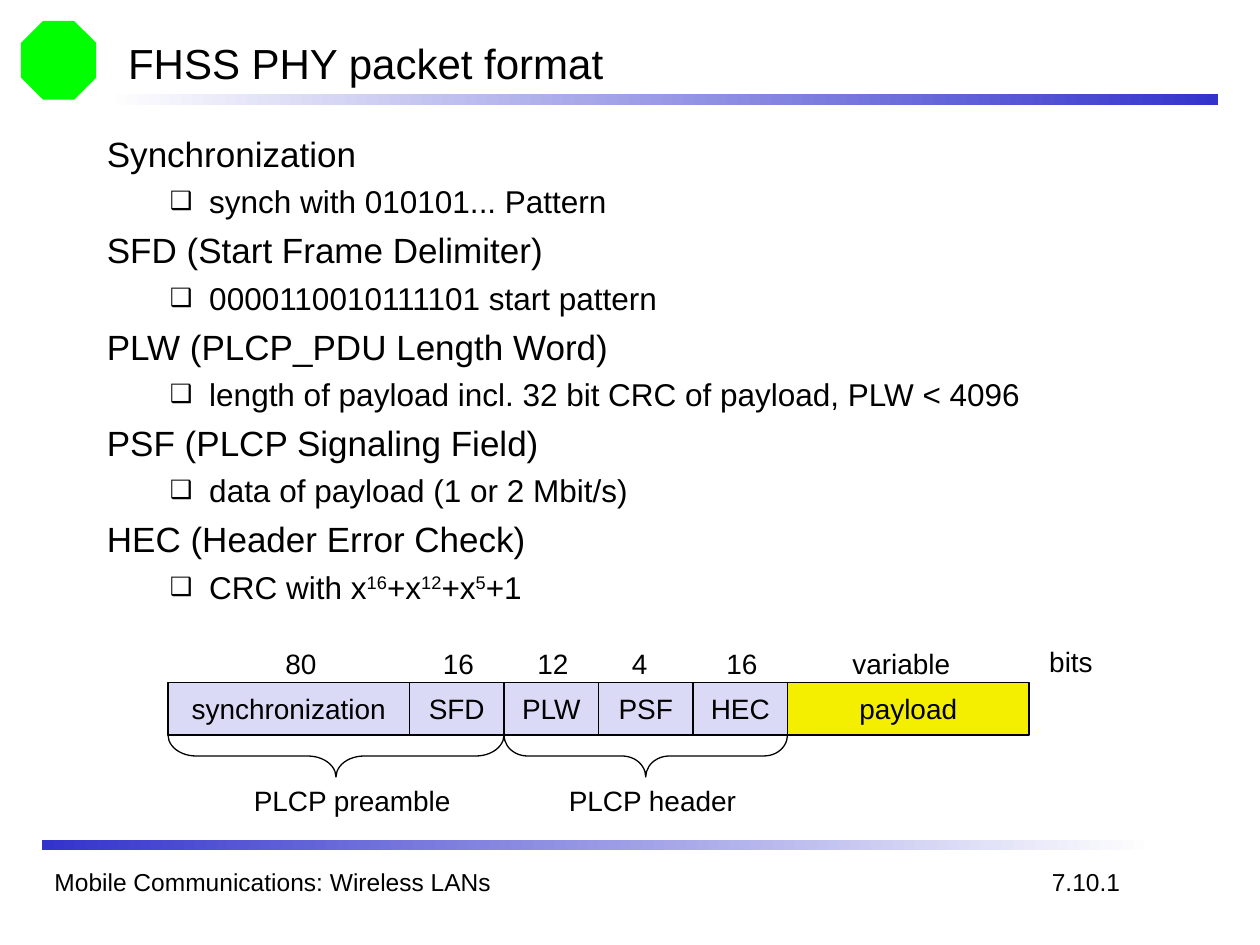
from lxml.etree import SubElement
from pptx import Presentation
from pptx.dml.color import RGBColor
from pptx.enum.shapes import MSO_SHAPE as Shape
from pptx.enum.text import MSO_ANCHOR as Anchor, PP_ALIGN as Align
from pptx.oxml.ns import qn
from pptx.util import Pt

COLORS = {"ink": "000000", "header": "DADAF6", "payload": "F4EE00",
          "blue": "3333CC", "white": "FFFFFF", "emblem": "00FF00"}
SMALL_FIELD, LARGE_FIELD = 54, 138
FIELDS_LEFT, FIELDS_TOP, FIELD_HEIGHT = 96, 390, 30
FIELDS = [
    ("synchronization", LARGE_FIELD, "header", "80", 60, 34),
    ("SFD", SMALL_FIELD, "header", "16", 12, 34),
    ("PLW", SMALL_FIELD, "header", "12", 12, 34),
    ("PSF", SMALL_FIELD, "header", "4", 12, 25),
    ("HEC", SMALL_FIELD, "header", "16", 12, 34),
    ("payload", LARGE_FIELD, "payload", "variable", 30, 74),
]
TOPICS = [
    ("Synchronization", "synch with 010101... Pattern"),
    ("SFD (Start Frame Delimiter)", "0000110010111101 start pattern"),
    ("PLW (PLCP_PDU Length Word)",
     "length of payload incl. 32 bit CRC of payload, PLW < 4096"),
    ("PSF (PLCP Signaling Field)", "data of payload (1 or 2 Mbit/s)"),
    ("HEC (Header Error Check)", "CRC with x^16^+x^12^+x^5^+1"),
]


def rgb(name):
    """Return the named palette colour."""
    return RGBColor.from_string(COLORS[name])


def box(left, top, width, height):
    """Convert a box in points to lengths."""
    return Pt(left), Pt(top), Pt(width), Pt(height)


def format_runs(paragraph, size):
    """Apply the slide's type style to every run."""
    for run in paragraph.runs:
        run.font.name = "Arial"
        run.font.size = Pt(size)
        run.font.color.rgb = rgb("ink")


def add_label(slide, text, left, top, width, height=26.5, size=16):
    """Add a single-line label."""
    frame = slide.shapes.add_textbox(*box(left, top, width, height)).text_frame
    frame.word_wrap = False
    frame.text = text
    format_runs(frame.paragraphs[0], size)


def add_bar(slide, left, top, start, end):
    """Add a horizontal bar fading between two colours."""
    bar = slide.shapes.add_shape(Shape.RECTANGLE, *box(left, top, 636, 6))
    bar.shadow.inherit = False
    bar.line.fill.background()
    bar.fill.gradient()
    bar.fill.gradient_angle = 0
    for stop, color in zip(bar.fill.gradient_stops, (start, end)):
        stop.color.rgb = rgb(color)


def add_emblem(slide):
    """Add a plain octagon in the top corner."""
    emblem = slide.shapes.add_shape(Shape.OCTAGON, *box(12, 12, 43, 45))
    emblem.shadow.inherit = False
    emblem.fill.solid()
    emblem.fill.fore_color.rgb = rgb("emblem")
    emblem.line.fill.background()


def add_title(slide, text):
    """Place and format the slide title."""
    title = slide.shapes.title
    title.left, title.top, title.width, title.height = box(66, 18, 612, 36)
    frame = title.text_frame
    frame.text = text
    frame.vertical_anchor = Anchor.MIDDLE
    frame.paragraphs[0].alignment = Align.LEFT
    format_runs(frame.paragraphs[0], 24)


def add_bullet(paragraph):
    """Give a paragraph an indented hollow-square bullet."""
    paragraph.level = 1
    properties = paragraph._p.get_or_add_pPr()
    properties.set("marL", str(Pt(58.5)))
    properties.set("indent", str(Pt(-22.5)))
    bullet_color = SubElement(properties, qn("a:buClr"))
    SubElement(bullet_color, qn("a:srgbClr"), val=COLORS["ink"])
    SubElement(properties, qn("a:buSzPct"), val="80000")
    SubElement(properties, qn("a:buFont"), typeface="Arial")
    SubElement(properties, qn("a:buChar"), char="❑")


def add_detail(frame, text):
    """Add a bulleted detail, raising the parts between carets."""
    detail = frame.add_paragraph()
    add_bullet(detail)
    detail.space_before = Pt(4.5)
    for index, part in enumerate(text.split("^")):
        run = detail.add_run()
        run.text = part
        if index % 2:
            run._r.get_or_add_rPr().set("baseline", "30000")
    format_runs(detail, 18)


def add_topics(slide):
    """Add the list of packet fields and their details."""
    frame = slide.shapes.add_textbox(*box(54, 72, 612, 408)).text_frame
    frame.word_wrap = True
    for index, (heading, detail) in enumerate(TOPICS):
        topic = frame.add_paragraph() if index else frame.paragraphs[0]
        topic.text = heading
        if index:
            topic.space_before = Pt(5)
        format_runs(topic, 20)
        add_detail(frame, detail)


def add_field(slide, name, left, width, color):
    """Add one field of the packet."""
    field = slide.shapes.add_shape(
        Shape.RECTANGLE, *box(left, FIELDS_TOP, width, FIELD_HEIGHT))
    field.shadow.inherit = False
    field.fill.solid()
    field.fill.fore_color.rgb = rgb(color)
    field.line.color.rgb = rgb("ink")
    field.line.width = Pt(0.75)
    frame = field.text_frame
    frame.word_wrap = False
    frame.vertical_anchor = Anchor.MIDDLE
    frame.text = name
    frame.paragraphs[0].alignment = Align.CENTER
    format_runs(frame.paragraphs[0], 16)


def add_brace(slide, left, span, curve):
    """Add a downward brace below the fields it spans."""
    depth = 24
    top = FIELDS_TOP + FIELD_HEIGHT
    brace = slide.shapes.add_shape(
        Shape.LEFT_BRACE,
        *box(left + (span - depth) / 2, top + (depth - span) / 2, depth, span))
    brace.rotation = 270
    brace.adjustments[0] = curve
    brace.shadow.inherit = False
    brace.fill.background()
    brace.line.color.rgb = rgb("ink")
    brace.line.width = Pt(0.75)


def add_packet(slide):
    """Add the packet fields, bit counts and braces."""
    left = FIELDS_LEFT
    for name, width, color, bits, offset, bits_width in FIELDS:
        add_field(slide, name, left, width, color)
        add_label(slide, bits, left + offset, 366, bits_width)
        left += width
    add_label(slide, "bits", 592.5, 365, 42)
    preamble_span = LARGE_FIELD + SMALL_FIELD
    add_brace(slide, FIELDS_LEFT, preamble_span, 0.67)
    add_brace(slide, FIELDS_LEFT + preamble_span, 3 * SMALL_FIELD, 0.56)
    add_label(slide, "PLCP preamble", 138, 444, 130)
    add_label(slide, "PLCP header", 318, 444, 114)


def main():
    """Build and save the slide."""
    deck = Presentation()
    deck.slide_width, deck.slide_height = Pt(720), Pt(540)
    slide = deck.slides.add_slide(deck.slide_layouts[5])
    add_emblem(slide)
    add_bar(slide, 60, 54, "white", "blue")
    add_bar(slide, 24, 480, "blue", "white")
    add_title(slide, "FHSS PHY packet format")
    add_topics(slide)
    add_packet(slide)
    add_label(slide, "Mobile Communications: Wireless LANs", 24, 492, 486, 24, 14)
    add_label(slide, "7.10.1", 594, 492, 58, 24, 14)
    deck.save("out.pptx")


if __name__ == "__main__":
    main()
